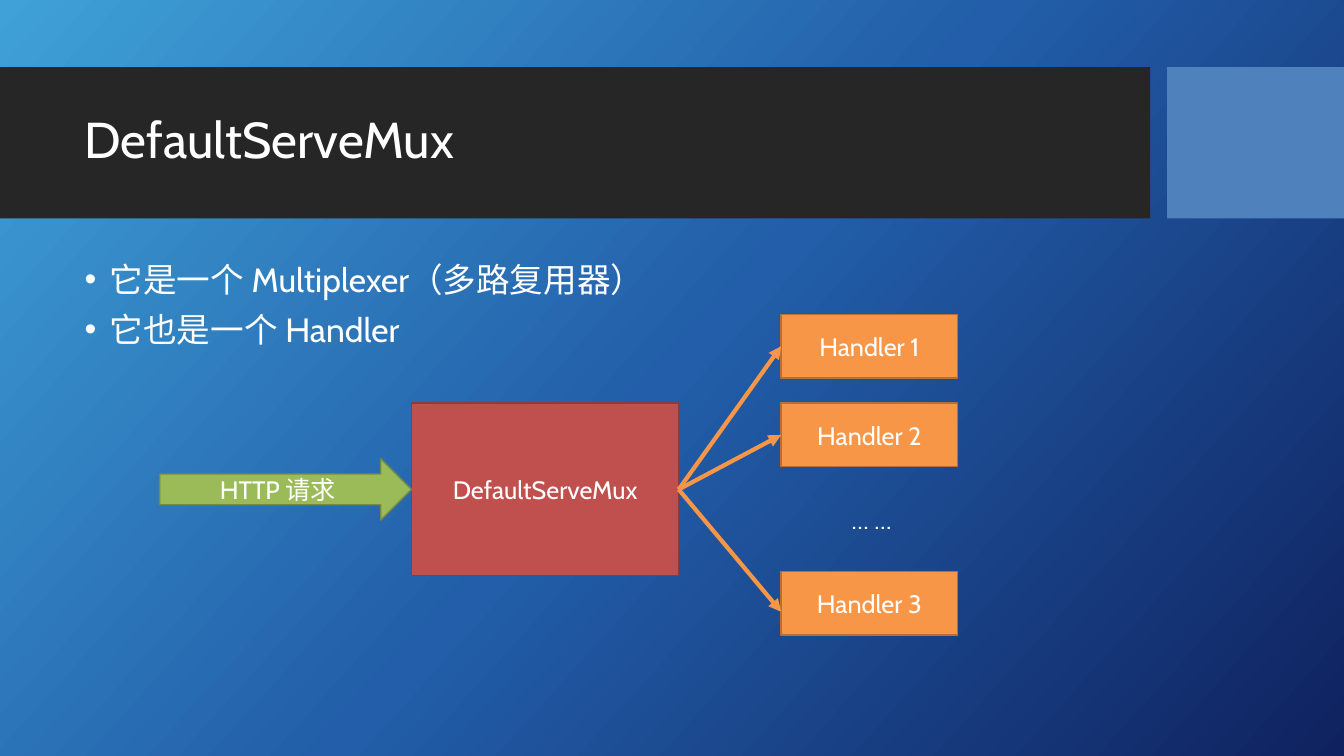
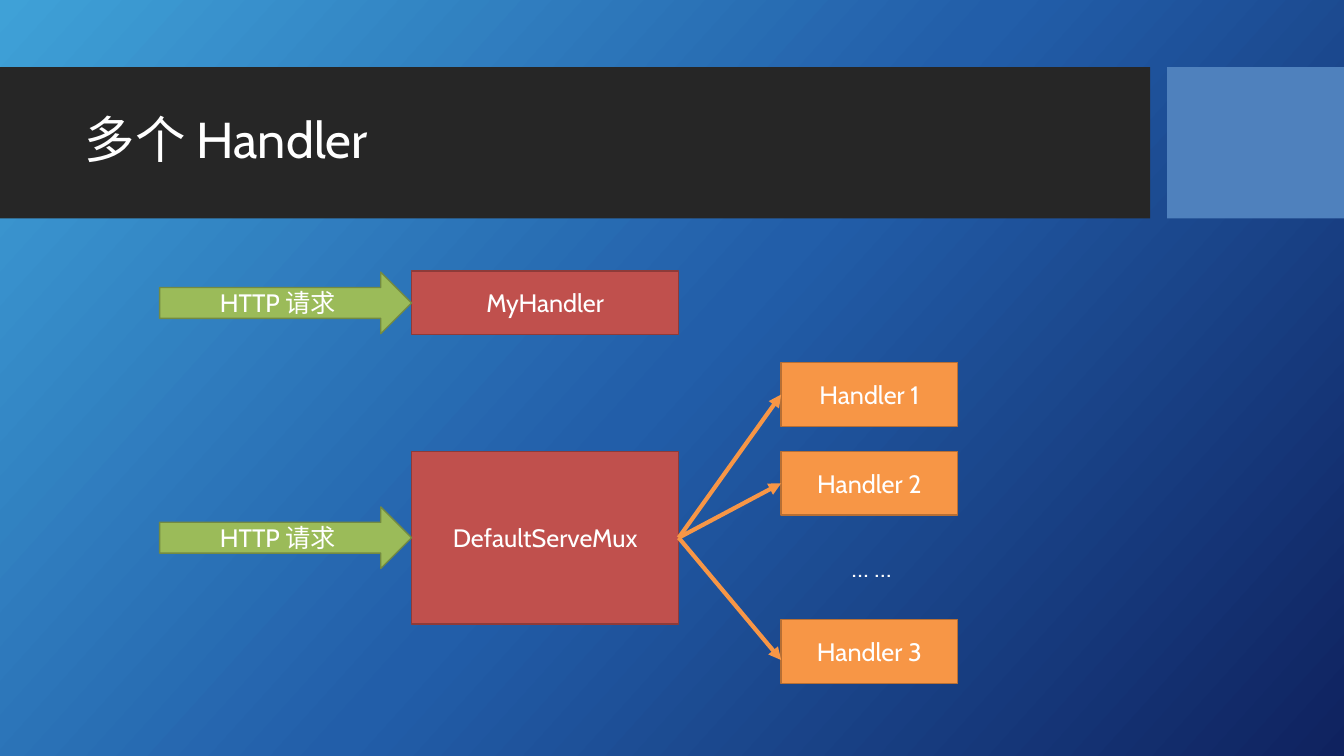
"""Build two slides on how an HTTP multiplexer hands requests to handlers."""
import copy

import lxml.etree
import pptx
import pptx.dml.color
import pptx.enum.shapes
import pptx.enum.text
import pptx.oxml.ns
import pptx.util

Pt = pptx.util.Pt
RGBColor = pptx.dml.color.RGBColor
SHAPE = pptx.enum.shapes.MSO_SHAPE
ALIGN = pptx.enum.text.PP_ALIGN
ANCHOR = pptx.enum.text.MSO_ANCHOR
qn = pptx.oxml.ns.qn

WHITE = RGBColor(0xFF, 0xFF, 0xFF)
CHARCOAL = RGBColor(0x26, 0x26, 0x26)
BLUE = RGBColor(0x4F, 0x81, 0xBD)
RED = RGBColor(0xC0, 0x50, 0x4D)
DARK_RED = RGBColor(0x8E, 0x3B, 0x39)
GREEN = RGBColor(0x9B, 0xBB, 0x59)
DARK_GREEN = RGBColor(0x73, 0x8A, 0x42)
ORANGE = RGBColor(0xF7, 0x96, 0x46)
DARK_ORANGE = RGBColor(0xB7, 0x6F, 0x34)
BACKGROUND_STOPS = [
    (0, RGBColor(0x3F, 0xA1, 0xD7)),
    (0.5, RGBColor(0x22, 0x5E, 0xA9)),
    (1, RGBColor(0x0F, 0x22, 0x5F)),
]

TITLE_FORMAT = {"alignment": ALIGN.LEFT, "line_spacing": 0.9}
BULLET_FORMAT = {"line_spacing": 0.9, "space_before": Pt(10)}
LABEL_FORMAT = {"alignment": ALIGN.CENTER}

MARGIN, TEXT_WIDTH = 53.3, 756.7
REQUEST_LEFT, REQUEST_WIDTH, REQUEST_HEIGHT = 114, 180, 44
MUX_LEFT, MUX_WIDTH, MUX_HEIGHT = 294, 190.8, 123.2
HANDLER_LEFT, HANDLER_WIDTH, HANDLER_HEIGHT = 558, 126, 45.4
HANDLERS = [("Handler 1", -63.4, 22.7), ("Handler 2", 0, 22.7), ("Handler 3", 120.2, 28.8)]


def write_text(frame, lines, size, paragraph_format):
    for index, line in enumerate(lines):
        paragraph = frame.paragraphs[0] if index == 0 else frame.add_paragraph()
        paragraph.text = line
        for name, value in paragraph_format.items():
            setattr(paragraph, name, value)
        font = paragraph.runs[0].font
        for name, value in {"name": "Cabin", "size": Pt(size)}.items():
            setattr(font, name, value)
        font.color.rgb = WHITE


def add_box(slide, kind, box, fill, outline=None, label=None):
    shape = slide.shapes.add_shape(kind, *map(Pt, box))
    shape.shadow.inherit = False
    shape.fill.solid()
    shape.fill.fore_color.rgb = fill
    if outline is None:
        shape.line.fill.background()
    else:
        shape.line.color.rgb = outline
        shape.line.width = Pt(1)
    if label:
        write_text(shape.text_frame, [label], 18, LABEL_FORMAT)
    return shape


presentation = pptx.Presentation()
presentation.slide_width, presentation.slide_height = Pt(960), Pt(540)
layout = presentation.slide_layouts[5]

background = layout.background.fill
background.gradient()
background.gradient_angle = 318
stop_list = layout.element.find(".//" + qn("a:gsLst"))
stop_list.append(copy.deepcopy(stop_list[-1]))
for stop, (position, color) in zip(background.gradient_stops, BACKGROUND_STOPS):
    stop.position = position
    stop.color.rgb = color

mux_slide, handlers_slide = [presentation.slides.add_slide(layout) for _ in range(2)]

bands = [((0, 48, 821.5, 108), CHARCOAL), ((833.7, 48, 126.3, 108), BLUE)]
for index, (box, color) in enumerate(bands):
    band = add_box(mux_slide, SHAPE.RECTANGLE, box, color)
    band.element.nvSpPr.cNvPr.id = 20 + index
    layout.shapes.element.insert(2 + index, band.element)

bullet_box = mux_slide.shapes.add_textbox(Pt(MARGIN), Pt(184.3), Pt(TEXT_WIDTH), Pt(283.7))
bullet_box.text_frame.word_wrap = True
bullet_lines = ["它是一个 Multiplexer（多路复用器）", "它也是一个 Handler"]
write_text(bullet_box.text_frame, bullet_lines, 24, BULLET_FORMAT)
for paragraph in bullet_box.text_frame.paragraphs:
    properties = paragraph._p.get_or_add_pPr()
    properties.set("marL", str(Pt(18)))
    properties.set("indent", str(Pt(-18)))
    lxml.etree.SubElement(properties, qn("a:buFont"), typeface="Arial")
    lxml.etree.SubElement(properties, qn("a:buChar"), char="•")

diagrams = [
    (mux_slide, "DefaultServeMux", 288, [("DefaultServeMux", 288, MUX_HEIGHT)]),
    (handlers_slide, "多个 Handler", 322.5,
     [("DefaultServeMux", 322.5, MUX_HEIGHT), ("MyHandler", 193.7, HANDLER_HEIGHT)]),
]
for slide, heading, mux_top, receivers in diagrams:
    title = slide.shapes.title
    title_place = {"left": MARGIN, "top": 59, "width": TEXT_WIDTH, "height": 85}
    for name, value in title_place.items():
        setattr(title, name, Pt(value))
    title.text_frame.vertical_anchor = ANCHOR.MIDDLE
    write_text(title.text_frame, [heading], 36, TITLE_FORMAT)

    for label, top, height in receivers:
        add_box(slide, SHAPE.RECTANGLE, (MUX_LEFT, top, MUX_WIDTH, height), RED, DARK_RED, label)
        request_top = top + (height - REQUEST_HEIGHT) / 2
        add_box(slide, SHAPE.RIGHT_ARROW,
                (REQUEST_LEFT, request_top, REQUEST_WIDTH, REQUEST_HEIGHT),
                GREEN, DARK_GREEN, "HTTP 请求")

    for label, offset, landing in HANDLERS:
        top = mux_top + offset
        add_box(slide, SHAPE.RECTANGLE, (HANDLER_LEFT, top, HANDLER_WIDTH, HANDLER_HEIGHT),
                ORANGE, DARK_ORANGE, label)
        connector = slide.shapes.add_connector(
            pptx.enum.shapes.MSO_CONNECTOR.STRAIGHT,
            Pt(MUX_LEFT + MUX_WIDTH), Pt(mux_top + MUX_HEIGHT / 2),
            Pt(HANDLER_LEFT), Pt(top + landing))
        connector.line.color.rgb = ORANGE
        connector.line.width = Pt(3)
        lxml.etree.SubElement(connector.line._get_or_add_ln(), qn("a:tailEnd"), type="triangle")
        lxml.etree.SubElement(connector.element.spPr, qn("a:effectLst"))

    ellipsis = slide.shapes.add_textbox(Pt(601.2), Pt(mux_top + 68.4), Pt(46.8), Pt(28.8))
    ellipsis.text_frame.word_wrap = False
    write_text(ellipsis.text_frame, ["… …"], 18, {})

presentation.save("out.pptx")
